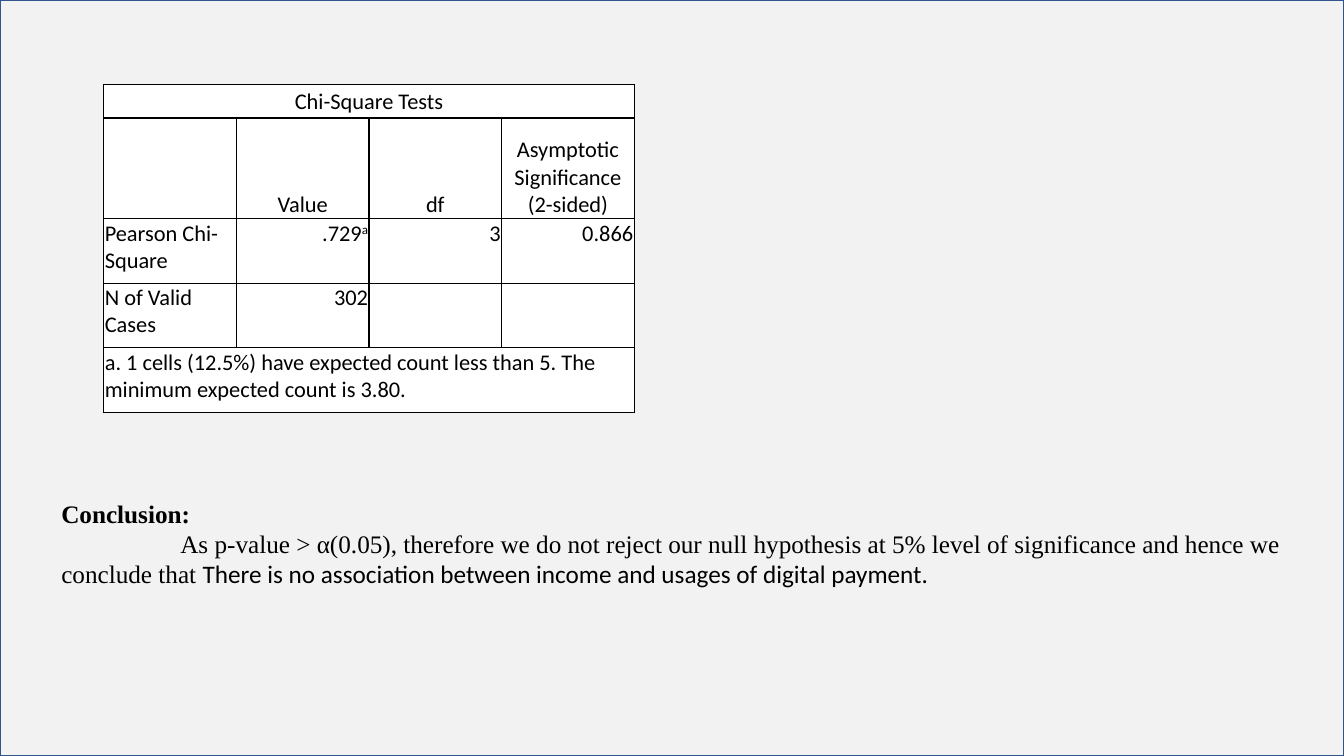
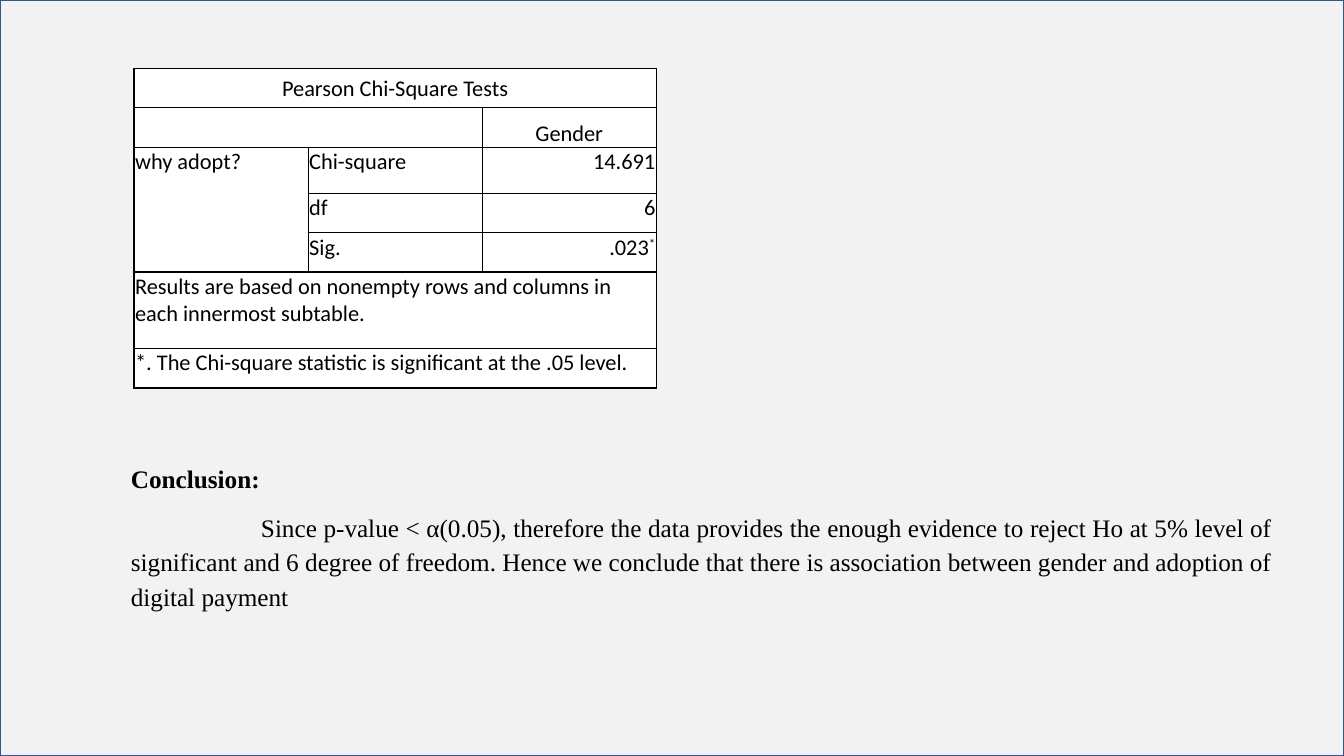
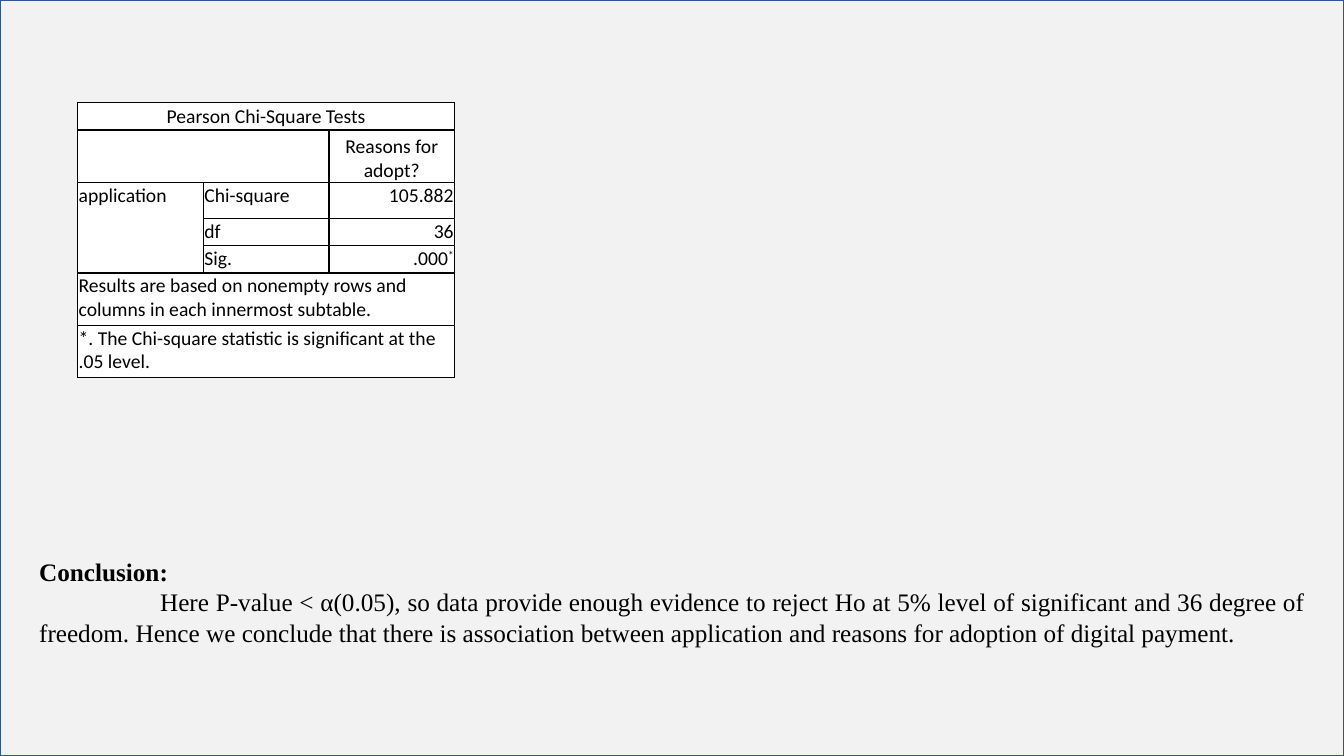
from lxml.etree import SubElement
from pptx import Presentation
from pptx.dml.color import RGBColor
from pptx.enum.shapes import MSO_SHAPE
from pptx.enum.text import MSO_ANCHOR, PP_ALIGN
from pptx.oxml.ns import qn
from pptx.util import Inches, Pt

COLORS = {"panel": "F2F2F2", "frame": "325491", "text": "000000",
          "cell": "FFFFFF", "border": "000000"}
TABLE_FONT, BODY_FONT = "Calibri", "Times New Roman"

PEARSON_NOTES = [
    ["Results are based on nonempty rows and columns in each innermost subtable."],
    ["*. The Chi-square statistic is significant at the .05 level."],
]
# Merged areas: first row, first column, last row, last column
PEARSON_MERGES = [(0, 0, 0, 2), (1, 0, 1, 1), (2, 0, 4, 0), (5, 0, 5, 2), (6, 0, 6, 2)]


def pearson_rows(heading, subject, chi_square, df, significance):
    return [["Pearson Chi-Square Tests"],
            ["", "", heading],
            [subject, "Chi-square", chi_square],
            ["", "df", df],
            ["", "Sig.", (significance, "*")],
            *PEARSON_NOTES]


# A cell given as a pair holds a value and its superscript mark
SLIDES = [
    {
        "table": {
            "left": 1.03, "top": 0.84, "width": 5.26, "columns": 4, "labels": 1, "size": 16,
            "heights": [0.33, 1, 0.64, 0.64, 0.64],
            "rows": [
                ["Chi-Square Tests"],
                ["", "Value", "df", "Asymptotic Significance (2-sided)"],
                ["Pearson Chi-Square", (".729", "a"), "3", "0.866"],
                ["N of Valid Cases", "302"],
                ["a. 1 cells (12.5%) have expected count less than 5. "
                 "The minimum expected count is 3.80."],
            ],
            "merges": [(0, 0, 0, 3), (4, 0, 4, 3)],
        },
        "conclusion": {
            "place": (0.51, 4.89, 12.4, 1.01), "indent": 1.18, "align": PP_ALIGN.LEFT,
            "runs": [
                ("As p-value > α(0.05), therefore we do not reject our null hypothesis "
                 "at 5% level of significance and hence we conclude that ", BODY_FONT),
                ("There is no association between income and usages of digital payment.",
                 TABLE_FONT),
            ],
        },
    },
    {
        "table": {
            "left": 1.33, "top": 0.68, "width": 5.18, "columns": 3, "labels": 2, "size": 16,
            "heights": [0.39, 0.39, 0.46, 0.39, 0.39, 0.76, 0.39],
            "rows": pearson_rows("Gender", "why adopt?", "14.691", "6", ".023"),
            "merges": PEARSON_MERGES,
        },
        "conclusion": {
            "place": (1.2, 4.5, 11.52, 1.61), "indent": 1.29, "align": PP_ALIGN.JUSTIFY,
            "line_spacing": 1.15, "space_after": 10,
            "runs": [
                ("Since p-value < α(0.05), therefore the data provides the enough evidence "
                 "to reject Ho at 5% level of significant and 6 degree of freedom. Hence we "
                 "conclude that there is association between gender and adoption of "
                 "digital payment", BODY_FONT),
            ],
        },
    },
    {
        "table": {
            "left": 0.77, "top": 1.02, "width": 3.74, "columns": 3, "labels": 2, "size": 14,
            "heights": [0.27, 0.52, 0.36, 0.27, 0.27, 0.52, 0.52],
            "rows": pearson_rows("Reasons for adopt?", "application", "105.882", "36", ".000"),
            "merges": PEARSON_MERGES,
        },
        "conclusion": {
            "place": (0.29, 5.47, 12.76, 1.01), "indent": 1.2, "align": PP_ALIGN.JUSTIFY,
            "runs": [
                ("Here P-value < α(0.05), so data provide enough evidence to reject Ho at "
                 "5% level of significant and 36 degree of freedom. Hence we conclude that "
                 "there is association between application and reasons for adoption of "
                 "digital payment.", BODY_FONT),
            ],
        },
    },
]


def color(name):
    return RGBColor.from_string(COLORS[name])


def add_span(para, text, font, size, bold=False):
    span = para.add_run()
    span.text = text
    span.font.name = font
    span.font.size = Pt(size)
    span.font.bold = bold
    span.font.color.rgb = color("text")
    return span


def add_panel(page, deck):
    panel = page.shapes.add_shape(MSO_SHAPE.RECTANGLE, 0, 0, deck.slide_width, deck.slide_height)
    panel.shadow.inherit = False
    panel.fill.solid()
    panel.fill.fore_color.rgb = color("panel")
    panel.line.color.rgb = color("frame")
    panel.line.width = Pt(1)


def style_cell(cell):
    cell.margin_left = cell.margin_right = cell.margin_top = Inches(0.01)
    cell.margin_bottom = 0
    properties = cell._tc.get_or_add_tcPr()
    for side in ("lnL", "lnR", "lnT", "lnB"):
        line = SubElement(properties, qn(f"a:{side}"), w=str(Pt(1)))
        fill = SubElement(line, qn("a:solidFill"))
        SubElement(fill, qn("a:srgbClr"), val=COLORS["border"])
    cell.fill.solid()
    cell.fill.fore_color.rgb = color("cell")


def fill_cell(cell, content, size, align, anchor):
    value, mark = content if isinstance(content, tuple) else (content, "")
    cell.vertical_anchor = anchor
    para = cell.text_frame.paragraphs[0]
    para.alignment = align
    para.font.size = Pt(size)
    if value:
        add_span(para, value, TABLE_FONT, size)
    if mark:
        superscript = add_span(para, mark, TABLE_FONT, size)
        superscript._r.get_or_add_rPr().set("baseline", "30000")


def cell_layout(row, column, labels):
    """Title and headings are centred, labels go left and values right."""
    if row < 2:
        return PP_ALIGN.CENTER, (MSO_ANCHOR.MIDDLE, MSO_ANCHOR.BOTTOM)[row]
    return (PP_ALIGN.LEFT if column < labels else PP_ALIGN.RIGHT), MSO_ANCHOR.TOP


def add_test_table(page, data):
    heights, columns = data["heights"], data["columns"]
    table = page.shapes.add_table(
        len(heights), columns, Inches(data["left"]), Inches(data["top"]),
        Inches(data["width"]), Inches(sum(heights))).table
    table.first_row = table.horz_banding = False
    for column in table.columns:
        column.width = Inches(data["width"] / columns)
    for row, height in zip(table.rows, heights):
        row.height = Inches(height)
    for cell in table.iter_cells():
        style_cell(cell)
    for top, left, bottom, right in data["merges"]:
        table.cell(top, left).merge(table.cell(bottom, right))
    for row, contents in enumerate(data["rows"]):
        for column, content in enumerate(contents):
            fill_cell(table.cell(row, column), content, data["size"],
                      *cell_layout(row, column, data["labels"]))


def add_conclusion(page, data):
    box = page.shapes.add_textbox(*map(Inches, data["place"]))
    frame = box.text_frame
    frame.word_wrap = True
    heading, body = frame.paragraphs[0], frame.add_paragraph()
    add_span(heading, "Conclusion:", BODY_FONT, 18, bold=True)
    body.alignment = data["align"]
    body._p.get_or_add_pPr().set("indent", str(Inches(data["indent"])))
    for text, font in data["runs"]:
        add_span(body, text, font, 18)
    for para in (heading, body):
        para.line_spacing = data.get("line_spacing", 1.0)
        para.space_after = Pt(data.get("space_after", 0))


def main():
    deck = Presentation()
    deck.slide_width, deck.slide_height = Inches(13.33), Inches(7.5)
    for content in SLIDES:
        page = deck.slides.add_slide(deck.slide_layouts[6])
        add_panel(page, deck)
        add_test_table(page, content["table"])
        add_conclusion(page, content["conclusion"])
    deck.save("out.pptx")


if __name__ == "__main__":
    main()
